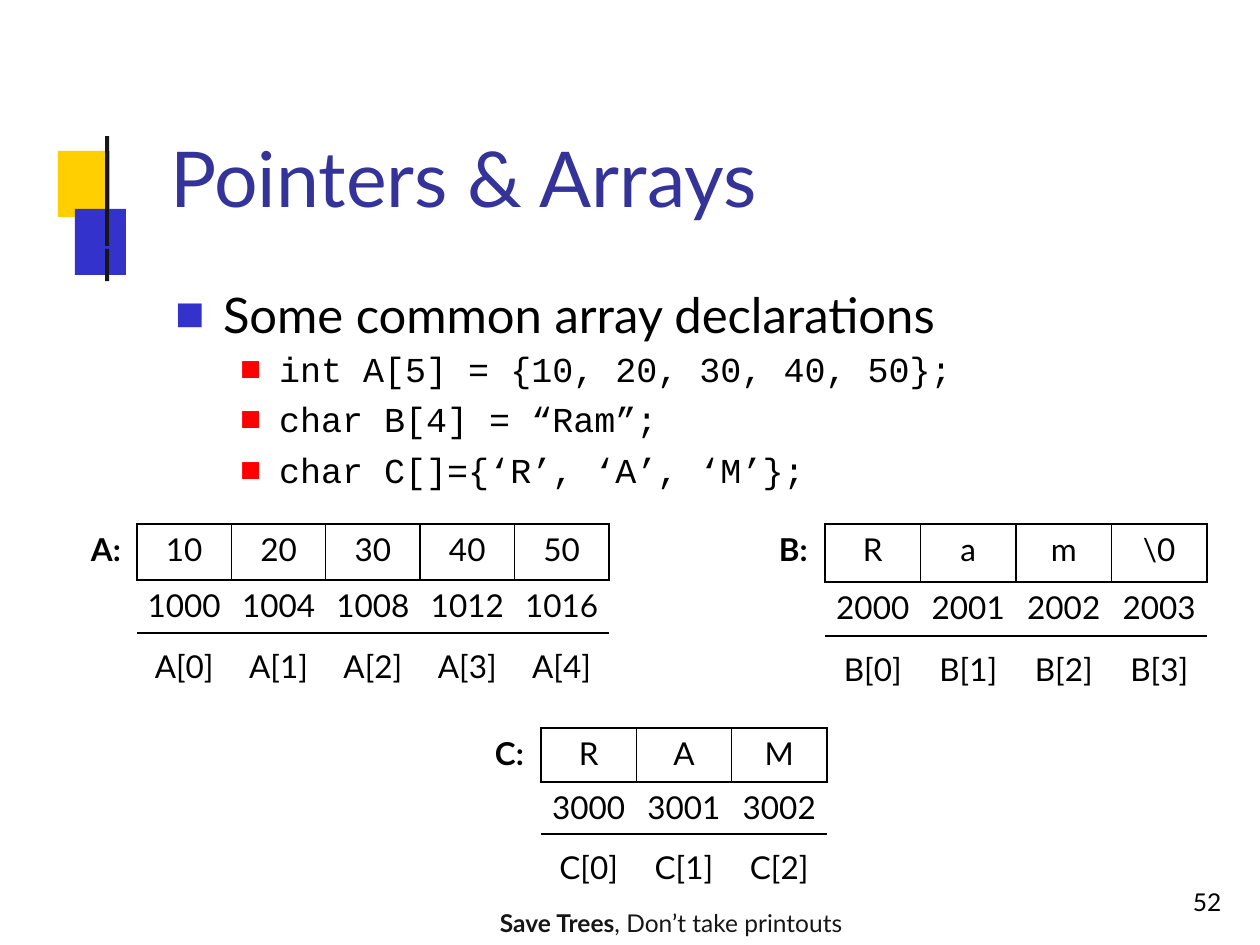
from lxml import etree
from pptx import Presentation
from pptx.dml.color import RGBColor
from pptx.enum.shapes import MSO_SHAPE
from pptx.enum.text import MSO_ANCHOR, MSO_AUTO_SIZE, PP_ALIGN
from pptx.oxml.ns import qn
from pptx.util import Emu, Pt

RECT = MSO_SHAPE.RECTANGLE
TOP = MSO_ANCHOR.TOP
LEFT, CENTER = PP_ALIGN.LEFT, PP_ALIGN.CENTER
FIXED = MSO_AUTO_SIZE.NONE

BLACK = RGBColor(0, 0, 0)
DARK = RGBColor(0x16, 0x16, 0x16)
NAVY = RGBColor(0x33, 0x33, 0x99)
BLUE = RGBColor(0x33, 0x33, 0xCC)
GOLD = RGBColor(0xFF, 0xCF, 0x01)
RED = RGBColor(0xFF, 0, 0)
SANS, MONO = "Lato", "Courier New"

PX = 914400 / 126

TITLE = "Pointers & Arrays"
# level, text, space before in points
POINTS = [
    (0, "Some common array declarations", 0),
    (1, "int A[5] = {10, 20, 30, 40, 50};", 2.6),
    (1, "char B[4] = “Ram”;", 4.8),
    (1, "char C[]={‘R’, ‘A’, ‘M’};", 4.8),
]
# margin px, hanging px, bullet colour, font, size
LEVELS = [(49, 48, BLUE, SANS, 28), (105, 39, RED, MONO, 20)]

# name, values, first address, bytes per item, left, top, cells' width, row heights
ARRAYS = [
    ("B", ["R", "a", "m", "\\0"], 2000, 1, 762, 524, 382, (58, 54, 48)),
    ("C", ["R", "A", "M"], 3000, 1, 478, 728, 286, (54, 52, 47)),
    ("A", ["10", "20", "30", "40", "50"], 1000, 4, 74, 524, 472, (56, 53, 47)),
]
LABEL = 63
INSETS = (6, 6, 9)
# Ruled sides of the value, address and index cells
RULES = ["LRTB", "TB", "T"]

SQUARES = [(GOLD, (58, 151, 52, 66)), (BLUE, (75, 209, 51, 66))]
BARS = [(105, 249, 4, 32), (105, 136, 4, 110)]


def px(n):
    return Emu(round(n * PX))


def place(shape, box):
    shape.left, shape.top, shape.width, shape.height = map(px, box)


def style(font, size, color=BLACK, name=SANS, bold=None):
    font.size, font.name, font.bold = Pt(size), name, bold
    font.color.rgb = color


def paint(shape, color):
    shape.shadow.inherit = False
    shape.fill.solid()
    shape.fill.fore_color.rgb = color
    shape.line.fill.background()


def set_frame(frame, left=1, top=1):
    frame.margin_left, frame.margin_top = px(left), px(top)
    frame.margin_right = frame.margin_bottom = 0
    frame.vertical_anchor, frame.word_wrap = TOP, True
    frame.auto_size = FIXED


def add_bullet(para, margin, hang, color):
    props = para._p.get_or_add_pPr()
    props.set("marL", str(px(margin)))
    props.set("indent", str(-px(hang)))
    tint = etree.SubElement(props, qn("a:buClr"))
    etree.SubElement(tint, qn("a:srgbClr"), val=str(color))
    etree.SubElement(props, qn("a:buChar"), char="■")


def rule_cell(cell, sides):
    """Draw the named sides in black and leave the others open."""
    props = cell._tc.get_or_add_tcPr()
    for i, side in enumerate("LRTB"):
        line = etree.Element(qn("a:ln" + side), w=str(Pt(1)))
        if side in sides:
            fill = etree.SubElement(line, qn("a:solidFill"))
            etree.SubElement(fill, qn("a:srgbClr"), val=str(BLACK))
        else:
            etree.SubElement(line, qn("a:noFill"))
        props.insert(i, line)


def add_array(shapes, name, values, start, step, left, top, span, heights):
    count = len(values)
    rows = [
        [name + ":"] + values,
        [""] + [str(start + i * step) for i in range(count)],
        [""] + [f"{name}[{i}]" for i in range(count)],
    ]
    box = map(px, (left, top, LABEL + span, sum(heights)))
    table = shapes.add_table(len(rows), count + 1, *box).table
    table.first_row = table.horz_banding = False
    for c, col in enumerate(table.columns):
        col.width = px(span / count if c else LABEL)
    for r, texts in enumerate(rows):
        table.rows[r].height = px(heights[r])
        for c, text in enumerate(texts):
            cell = table.cell(r, c)
            cell.margin_left = px(0 if c else 17)
            cell.margin_right = cell.margin_bottom = 0
            cell.margin_top = px(INSETS[r])
            cell.fill.background()
            rule_cell(cell, RULES[r] if c else "" if r else "R")
            cell.text = text
            para = cell.text_frame.paragraphs[0]
            para.alignment = CENTER if c else LEFT
            if r == 2:
                para.line_spacing = 1.15
            style(para.font, 18, bold=c == 0)


def add_decor(shapes):
    for color, box in SQUARES:
        paint(shapes.add_shape(RECT, *map(px, box)), color)
    pen = shapes.build_freeform(*BARS[0][:2], scale=PX)
    for x, y, w, h in BARS:
        pen.move_to(x, y)
        pen.add_line_segments([(x + w, y), (x + w, y + h), (x, y + h)])
    paint(pen.convert_to_shape(), DARK)


def add_note(shapes, box, left, runs, color):
    note = shapes.add_textbox(*map(px, box))
    set_frame(note.text_frame, left)
    para = note.text_frame.paragraphs[0]
    for text, bold in runs:
        run = para.add_run()
        run.text = text
        style(run.font, 14, color, bold=bold)


def main():
    deck = Presentation()
    deck.slide_width, deck.slide_height = px(1260), px(945)
    slide = deck.slides.add_slide(deck.slide_layouts[1])
    shapes = slide.shapes
    add_decor(shapes)

    title, body = slide.placeholders
    place(title, (169, 130, 591, 96))
    title.text = TITLE
    set_frame(title.text_frame)
    head = title.text_frame.paragraphs[0]
    head.alignment = LEFT
    style(head.font, 44, NAVY)

    place(body, (174, 276, 779, 217))
    frame = body.text_frame
    set_frame(frame, 0, 8)
    for i, (level, text, gap) in enumerate(POINTS):
        para = frame.add_paragraph() if i else frame.paragraphs[0]
        margin, hang, color, face, size = LEVELS[level]
        para.text, para.level = text, level
        para.space_before = Pt(gap)
        add_bullet(para, margin, hang, color)
        style(para.font, size, name=face)

    add_note(shapes, (1188, 886, 38, 33), 5, [("52", False)], BLACK)
    add_note(shapes, (499, 907, 367, 33), 1,
             [("Save Trees", True), (", Don’t take printouts", False)], DARK)
    for array in ARRAYS:
        add_array(shapes, *array)
    deck.save("out.pptx")


if __name__ == "__main__":
    main()
